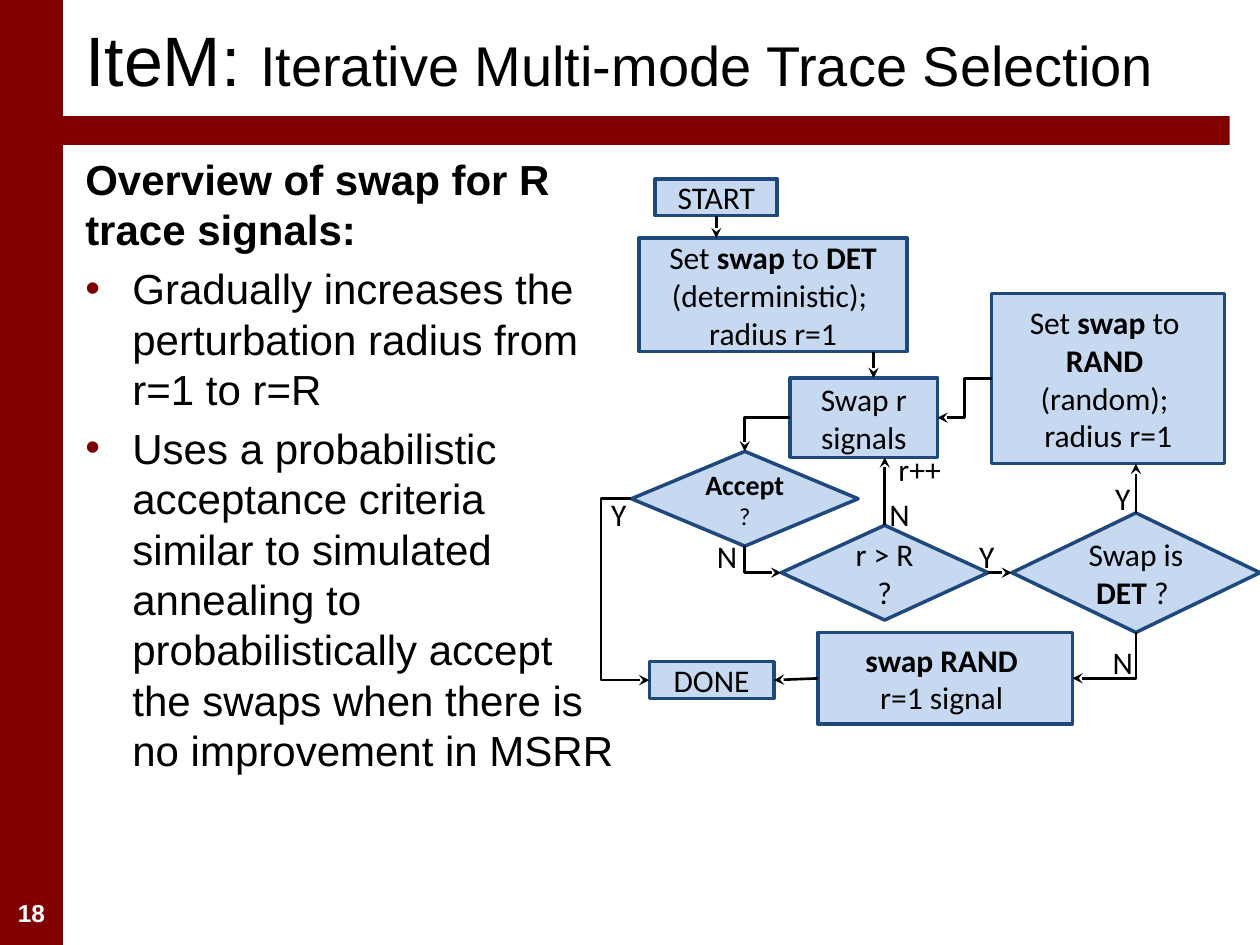
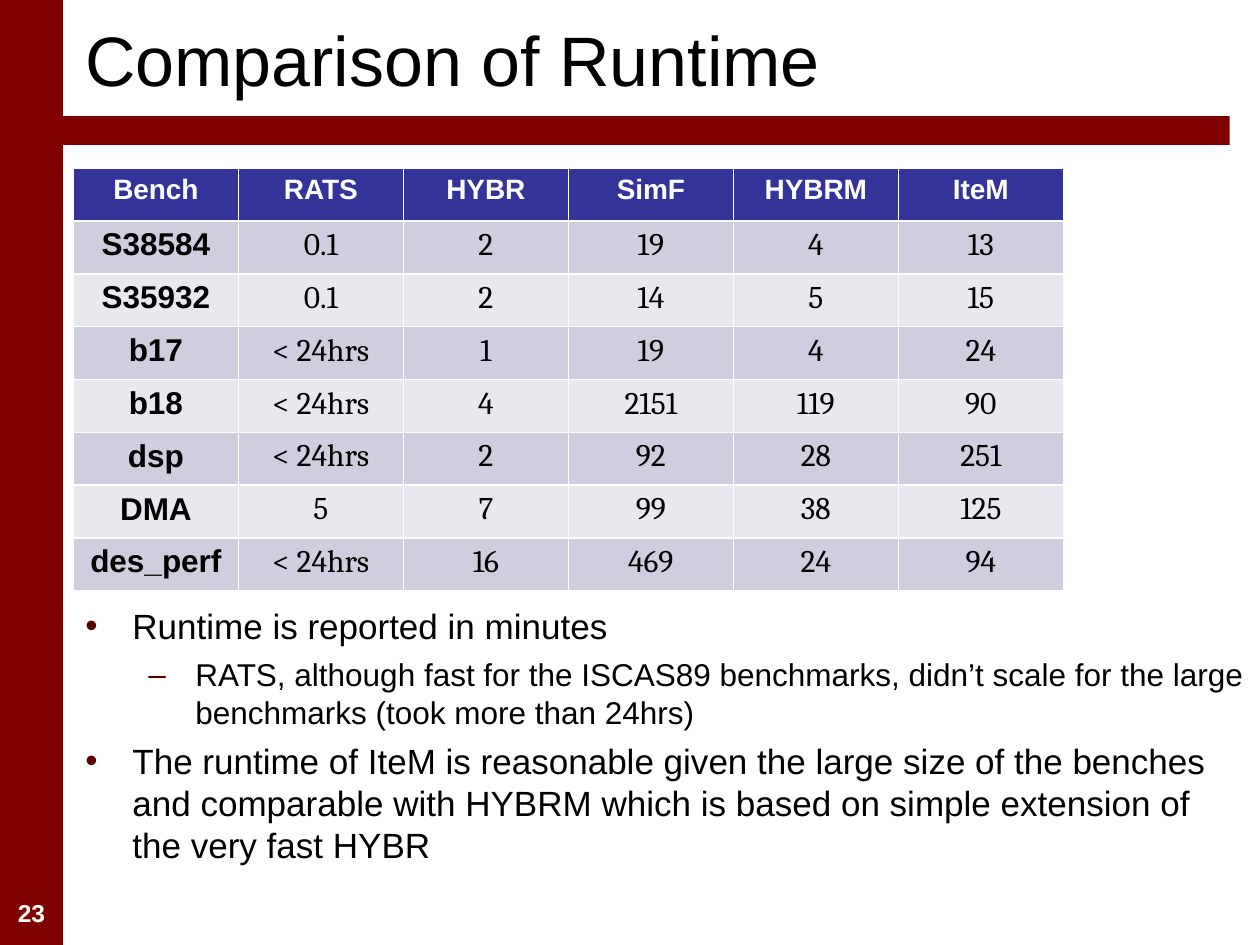
from collections import namedtuple

from lxml import etree
from pptx import Presentation
from pptx.dml.color import RGBColor
from pptx.enum.shapes import MSO_CONNECTOR, MSO_SHAPE
from pptx.enum.text import MSO_ANCHOR, PP_ALIGN
from pptx.oxml.ns import qn
from pptx.util import Cm, Pt

RECT, DIAMOND = MSO_SHAPE.RECTANGLE, MSO_SHAPE.DIAMOND
STRAIGHT, ELBOW = MSO_CONNECTOR.STRAIGHT, MSO_CONNECTOR.ELBOW
LEFT, CENTER = PP_ALIGN.LEFT, PP_ALIGN.CENTER
TOP, MIDDLE = MSO_ANCHOR.TOP, MSO_ANCHOR.MIDDLE

MAROON, WHITE, BLACK = "800000", "FFFFFF", "000000"
NODE_FILL, NODE_LINE = "C6D9F1", "1F497D"
HEADER_FILL, ROW_FILLS = "333399", ("CECEDE", "E8E8EF")
BODY_FONT, FLOW_FONT, VALUE_FONT = "Arial", "Calibri", "Cambria"

Box = namedtuple("Box", "x y w h")
SIDE_BAND = Box(0, 0, 1.27, 19.05)
TITLE_BAND = Box(1.07, 2.34, 23.72, 0.58)
TITLE_BOX = Box(1.47, -0.2, 23.3, 2.74)
NUMBER_BOX = Box(0, 17.98, 1.27, 0.84)

FLOW_NODES = {
    "swap": (RECT, Box(3.86, 4.01, 2.97, 1.6), ["Swap r signals"]),
    "radius": (DIAMOND, Box(3.68, 6.98, 4.17, 1.91), ["r > R", "?"]),
    "done": (RECT, Box(1.02, 9.73, 2.51, 0.74), ["DONE"]),
    "set_det": (RECT, Box(0.81, 1.19, 5.41, 2.29),
                ["Set *swap* to *DET* (deterministic); ", "radius r=1"]),
    "start": (RECT, Box(1.14, 0, 2.46, 0.74), ["START"]),
    "is_det": (DIAMOND, Box(8.33, 6.73, 5, 2.41), ["Swap is *DET* ? "]),
    "set_rand": (RECT, Box(7.92, 2.31, 4.7, 3.43),
                 ["Set *swap* to ", "*RAND *", "(random); ", "radius r=1"]),
    "accept": (DIAMOND, Box(0.66, 5.49, 4.57, 1.91), ["*Accept*", "?"]),
    "swap_rand": (RECT, Box(4.42, 9.14, 5.13, 1.85),
                  ["*swap RAND *", "r=1 signal "]),
}
NODE_SIZES = {"accept": (16, 14)}
BRANCH_LABELS = [
    ("r++", 5.79, 5.33), ("N", 2.13, 7.09), ("N", 5.61, 6.25),
    ("Y", 10.16, 5.92), ("Y", 7.42, 7.09), ("N", 10.11, 9.22), ("Y", 0, 6.25),
]
RUNTIMES = [
    ["Bench", "RATS", "HYBR", "SimF", "HYBRM", "IteM"],
    ["S38584", "0.1", "2", "19", "4", "13"],
    ["S35932", "0.1", "2", "14", "5", "15"],
    ["b17", "< 24hrs", "1", "19", "4", "24"],
    ["b18", "< 24hrs", "4", "2151", "119", "90"],
    ["dsp", "< 24hrs", "2", "92", "28", "251"],
    ["DMA", "5", "7", "99", "38", "125"],
    ["des_perf", "< 24hrs", "16", "469", "24", "94"],
]


def color(value):
    """Turn a hex string into a colour."""
    return RGBColor.from_string(value)


def lengths(box):
    """Give the four sides of a box in centimetres."""
    return [Cm(value) for value in box]


def inside(outer, box):
    """Shift a box by the corner of the box that holds it."""
    return Box(outer.x + box.x, outer.y + box.y, box.w, box.h)


def add_text(frame, text, size=18, font=BODY_FONT, ink=BLACK, bold=False,
             align=LEFT, before=0, para=None):
    """Write a paragraph, or extend one; asterisks switch bold on and off."""
    if para is None:
        para = frame.paragraphs[0]
        if para.runs:
            para = frame.add_paragraph()
        para.alignment, para.space_before = align, Pt(before)
    for index, part in enumerate(text.split("*")):
        if part:
            span = para.add_run()
            span.text = part
            span.font.size, span.font.name = Pt(size), font
            span.font.bold = bold or index % 2 == 1
            span.font.color.rgb = color(ink)
    return para


def add_bullet(para, char, ink, indent):
    """Give a paragraph a coloured bullet with a hanging indent."""
    props = para._p.get_or_add_pPr()
    props.set("marL", str(Cm(indent)))
    props.set("indent", str(-Cm(0.95)))
    tint = etree.SubElement(props, qn("a:buClr"))
    etree.SubElement(tint, qn("a:srgbClr"), val=ink)
    etree.SubElement(props, qn("a:buFont"), typeface=BODY_FONT)
    etree.SubElement(props, qn("a:buChar"), char=char)


def add_textbox(page, box, anchor=TOP):
    """Add a wrapping text box and return its frame."""
    frame = page.shapes.add_textbox(*lengths(box)).text_frame
    frame.word_wrap, frame.vertical_anchor = True, anchor
    return frame


def add_block(page, kind, box, fill, line=None):
    """Add a flat filled shape with an optional outline."""
    shape = page.shapes.add_shape(kind, *lengths(box))
    shape.shadow.inherit = False
    shape.fill.solid()
    shape.fill.fore_color.rgb = color(fill)
    if line:
        shape.line.color.rgb, shape.line.width = color(line), Pt(2)
    else:
        shape.line.fill.background()
    return shape


def add_arrow(page, start, end, shape="line", bend=None, head="tailEnd"):
    """Draw an arrow, straight or bent, with its head at the named end."""
    kind = STRAIGHT if shape == "line" else ELBOW
    arrow = page.shapes.add_connector(
        kind, *[Cm(value) for value in (*start, *end)])
    arrow.line.color.rgb, arrow.line.width = color(BLACK), Pt(1.5)
    etree.SubElement(arrow.line._get_or_add_ln(), qn("a:" + head),
                     type="stealth")
    props = arrow._element.spPr
    etree.SubElement(props, qn("a:effectLst"))
    geometry = props.find(qn("a:prstGeom"))
    geometry.set("prst", shape)
    if bend is not None:
        guides = geometry.find(qn("a:avLst"))
        etree.SubElement(guides, qn("a:gd"), name="adj1",
                         fmla=f"val {round(bend * 100000)}")


def add_page(deck, number, *title):
    """Add a page with its bands, number and title."""
    page = deck.slides.add_slide(deck.slide_layouts[6])
    for band in (SIDE_BAND, TITLE_BAND):
        add_block(page, RECT, band, MAROON)
    add_text(add_textbox(page, NUMBER_BOX), number, size=14, ink=WHITE,
             bold=True, align=CENTER)
    frame, para = add_textbox(page, TITLE_BOX, MIDDLE), None
    for text, size in title:
        para = add_text(frame, text, size=size, para=para)
    return page


def add_overview(page, box):
    """Write the overview heading and its bullets."""
    frame = add_textbox(page, box)
    add_text(frame, "Overview of swap for R trace signals:", size=24,
             bold=True, before=4.8)
    for text in (
        "Gradually increases the perturbation radius from r=1 to r=R",
        "Uses a probabilistic acceptance criteria similar to simulated "
        "annealing to probabilistically accept the swaps when there is "
        "no improvement in MSRR",
    ):
        add_bullet(add_text(frame, text, size=24, before=4.8),
                   "•", "7E0000", 0.95)


def add_flowchart(page, box):
    """Draw the nodes, arrows and branch labels of the swap loop."""
    nodes = {}
    for name, (kind, place, lines) in FLOW_NODES.items():
        nodes[name] = inside(box, place)
        frame = add_block(page, kind, nodes[name], NODE_FILL,
                          NODE_LINE).text_frame
        frame.word_wrap, frame.vertical_anchor = True, MIDDLE
        sizes = NODE_SIZES.get(name, [18] * len(lines))
        for text, size in zip(lines, sizes):
            add_text(frame, text, size=size, font=FLOW_FONT, align=CENTER)

    def side(name, across, down):
        """Find a point on a node by its shares of width and height."""
        node = nodes[name]
        return node.x + across * node.w, node.y + down * node.h

    def add_vertical(x, first, second):
        """Draw an upright arrow between two heights."""
        add_arrow(page, (x, first), (x, second))

    add_vertical(side("start", 0.5, 1)[0], side("start", 0, 1)[1],
                 nodes["set_det"].y)
    add_vertical(box.x + 5.54, side("set_det", 0, 1)[1], nodes["swap"].y)
    add_vertical(side("radius", 0.5, 0)[0], nodes["radius"].y,
                 side("swap", 0, 1)[1])
    add_vertical(side("is_det", 0.5, 0)[0], nodes["is_det"].y,
                 side("set_rand", 0, 1)[1])
    add_arrow(page, side("radius", 1, 0.5), side("is_det", 0, 0.5))
    add_arrow(page, side("swap_rand", 0, 0.5), side("done", 1, 0.5))
    add_arrow(page, side("swap", 0, 0.5), side("accept", 0.5, 0),
              "bentConnector2")
    add_arrow(page, side("radius", 0, 0.5), side("accept", 0.5, 1),
              "bentConnector2", head="headEnd")
    add_arrow(page, side("swap_rand", 1, 0.5), side("is_det", 0.5, 1),
              "bentConnector2", head="headEnd")
    add_arrow(page, side("set_rand", 0, 0.5), side("swap", 1, 0.5),
              "bentConnector3", bend=0.5)
    add_arrow(page, side("accept", 0, 0.5), side("done", 0, 0.5),
              "bentConnector3", bend=-1.7)
    for text, x, y in BRANCH_LABELS:
        frame = add_textbox(page, inside(box, Box(x, y, 1.68, 0.94)))
        add_text(frame, text, font=FLOW_FONT)


def add_runtime_table(page, box):
    """Fill the table of runtimes for each benchmark."""
    table = page.shapes.add_table(len(RUNTIMES), len(RUNTIMES[0]),
                                  *lengths(box)).table
    for row, values in enumerate(RUNTIMES):
        for column, value in enumerate(values):
            header, label = row == 0, row == 0 or column == 0
            cell = table.cell(row, column)
            cell.fill.solid()
            cell.fill.fore_color.rgb = color(
                HEADER_FILL if header else ROW_FILLS[(row - 1) % 2])
            add_text(cell.text_frame, value, size=16 if header else 18,
                     font=BODY_FONT if label else VALUE_FONT,
                     ink=WHITE if header else BLACK, bold=label,
                     align=CENTER)


def add_runtime_notes(page, box):
    """Write the remarks below the table."""
    frame = add_textbox(page, box)
    for text, size, char, indent in (
        ("Runtime is reported in minutes", 20, "•", 0.95),
        ("RATS, although fast for the ISCAS89 benchmarks, didn’t scale for "
         "the large benchmarks (took more than 24hrs)", 18, "–", 2.22),
        ("The runtime of IteM is reasonable given the large size of the "
         "benches and comparable with HYBRM which is based on simple "
         "extension of the very fast HYBR", 20, "•", 0.95),
    ):
        para = add_text(frame, text, size=size, before=4.8)
        add_bullet(para, char, "580000", indent)


def main():
    """Build both pages and save the deck."""
    deck = Presentation()
    deck.slide_width, deck.slide_height = Cm(25.4), Cm(19.05)
    page = add_page(deck, "18", ("IteM: ", 40),
                    ("Iterative Multi-mode Trace Selection", 32))
    add_flowchart(page, Box(12.07, 3.61, 13.33, 11))
    add_overview(page, Box(1.47, 2.97, 11.2, 14.8))
    page = add_page(deck, "23", ("Comparison of Runtime", 40))
    add_runtime_table(page, Box(1.48, 3.39, 19.96, 8.52))
    add_runtime_notes(page, Box(1.47, 12.07, 23.93, 5.74))
    deck.save("out.pptx")


if __name__ == "__main__":
    main()
